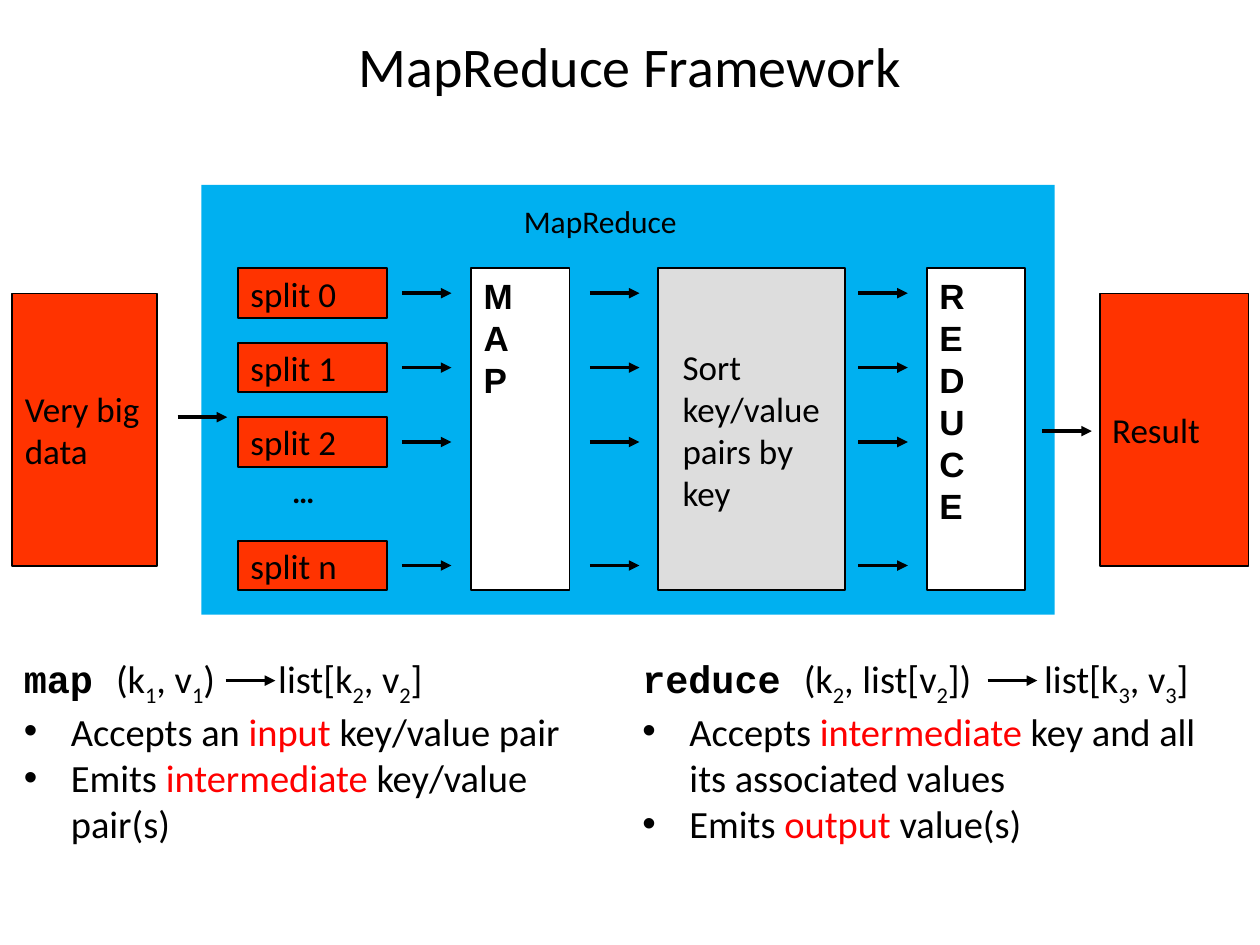
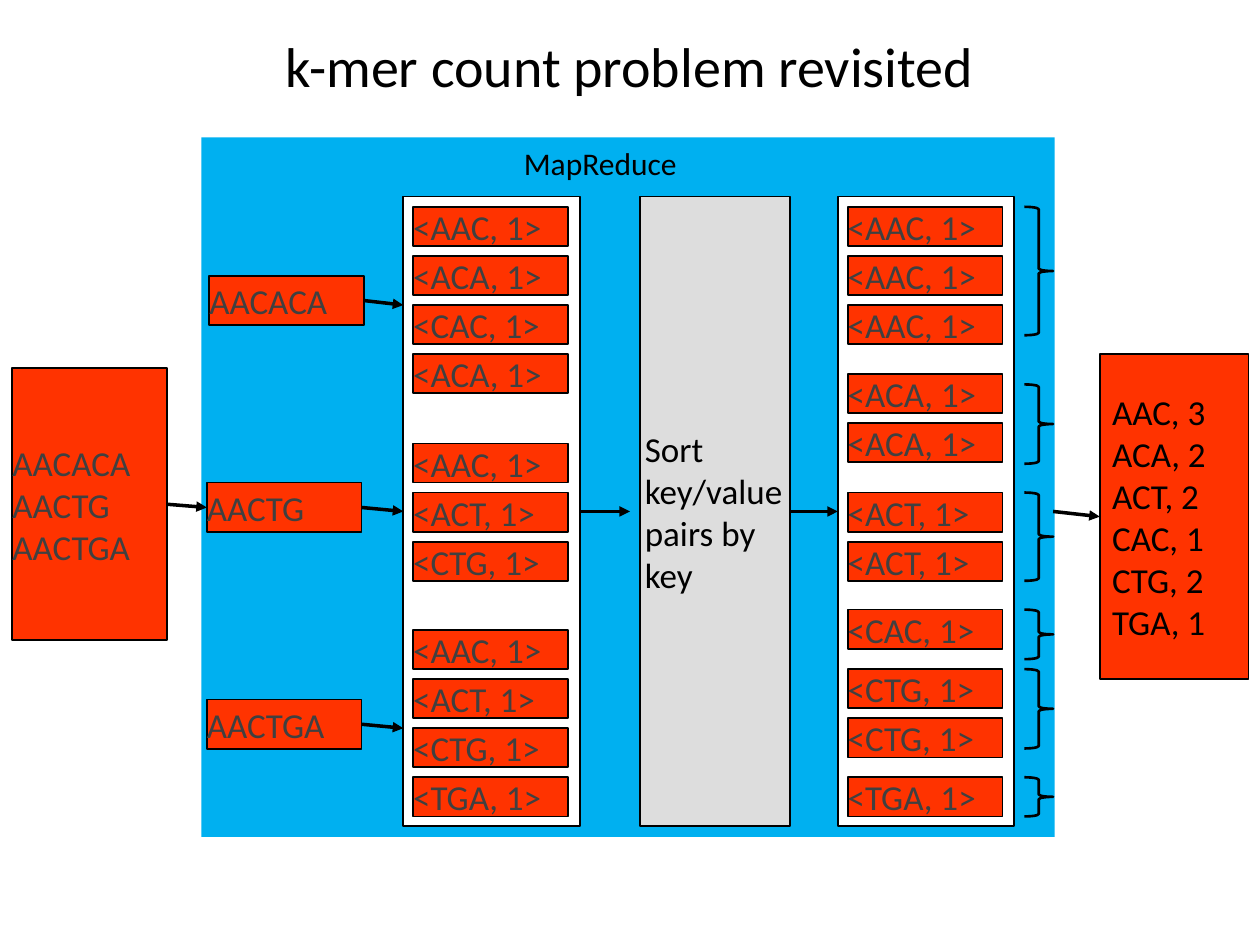
"""Build two slides that explain MapReduce and its use for k-mer counting."""
import pptx
import pptx.util
import pptx.dml.color
import pptx.enum.shapes
import pptx.enum.text
import pptx.oxml.ns
import lxml.etree

Cm = pptx.util.Cm
Pt = pptx.util.Pt
RGBColor = pptx.dml.color.RGBColor
Shape = pptx.enum.shapes.MSO_SHAPE
Anchor = pptx.enum.text.MSO_ANCHOR
Align = pptx.enum.text.PP_ALIGN
qn = pptx.oxml.ns.qn

BLACK = RGBColor(0x00, 0x00, 0x00)
WHITE = RGBColor(0xFF, 0xFF, 0xFF)
SKY = RGBColor(0x00, 0xB0, 0xF0)
ORANGE = RGBColor(0xFF, 0x33, 0x00)
SILVER = RGBColor(0xDD, 0xDD, 0xDD)
CHARCOAL = RGBColor(0x40, 0x40, 0x40)
RED = RGBColor(0xFF, 0x00, 0x00)


def add_box(page, text, left, top, width, height, *, kind=Shape.RECTANGLE, fill=None,
            line=1, size=20, font="Calibri", color=BLACK, bold=False,
            anchor=Anchor.MIDDLE, inset=0.25, right_inset=0.25, stacked=False):
    """Add a shape, or a text box when it has neither fill nor line."""
    place = Cm(left), Cm(top), Cm(width), Cm(height)
    if fill is None and not line:
        box = page.shapes.add_textbox(*place)
    else:
        box = page.shapes.add_shape(kind, *place)
        box.shadow.inherit = False
        if fill is None:
            box.fill.background()
        else:
            box.fill.solid()
            box.fill.fore_color.rgb = fill
        if line:
            box.line.color.rgb = BLACK
            box.line.width = Pt(line)
        else:
            box.line.fill.background()
    frame = box.text_frame
    frame.word_wrap = True
    frame.vertical_anchor = anchor
    frame.margin_left, frame.margin_right = Cm(inset), Cm(right_inset)
    if right_inset == 0:
        frame.margin_top = frame.margin_bottom = 0
    if stacked:
        frame._txBody.bodyPr.set("vert", "wordArtVert")
    if text:
        frame.text = text
        for para in frame.paragraphs:
            para.alignment = Align.LEFT
            para.font.size = Pt(size)
            for span in para.runs:
                span.font.size, span.font.name = Pt(size), font
                span.font.bold, span.font.color.rgb = bold, color
    return box


def add_arrow(page, start_x, start_y, end_x, end_y, source=None, target=None):
    """Add an arrow, joined to the right of source and the left of target."""
    arrow = page.shapes.add_connector(pptx.enum.shapes.MSO_CONNECTOR.STRAIGHT,
                                      Cm(start_x), Cm(start_y), Cm(end_x), Cm(end_y))
    if source is not None:
        arrow.begin_connect(source, 3)
    if target is not None:
        arrow.end_connect(target, 1)
    arrow.line.color.rgb = BLACK
    arrow.line.width = Pt(2)
    lxml.etree.SubElement(arrow.line._get_or_add_ln(), qn("a:tailEnd"), type="triangle")
    lxml.etree.SubElement(arrow._element.spPr, qn("a:effectLst"))


deck = pptx.Presentation()
deck.slide_width, deck.slide_height = Cm(25.4), Cm(19.05)

pages = []
for heading, band_top, band_height, label_top in [
    ("MapReduce Framework", 3.73, 8.66, 3.94),
    ("k-mer count problem revisited", 2.77, 14.1, 2.77),
]:
    page = deck.slides.add_slide(deck.slide_layouts[5])
    title = page.shapes.title
    title.left, title.top, title.width, title.height = Cm(1.27), Cm(0.43), Cm(22.86), Cm(1.78)
    title.text_frame.text = heading
    title.text_frame.vertical_anchor = Anchor.MIDDLE
    para = title.text_frame.paragraphs[0]
    para.alignment = Align.CENTER
    span = para.runs[0]
    span.font.size, span.font.name, span.font.color.rgb = Pt(32), "Calibri", BLACK
    add_box(page, "", 4.06, band_top, 17.2, band_height, fill=SKY, line=0)
    add_box(page, "MapReduce", 10.31, label_top, 5.13, 1.3, line=0, size=18, anchor=Anchor.TOP)
    pages.append(page)

framework, kmers = pages

add_box(framework, "Very big data", 0.25, 5.92, 2.92, 5.49, fill=ORANGE)
add_box(framework, "Result", 22.17, 5.92, 3, 5.49, fill=ORANGE)
add_box(framework, "…", 5.64, 9.4, 1.37, 1.3, line=0, size=18, bold=True, anchor=Anchor.TOP)
for name, left in [("MAP", 9.5), ("REDUCE", 18.69)]:
    add_box(framework, name, left, 5.41, 1.98, 6.48, fill=WHITE, font="Arial", bold=True,
            stacked=True)
add_box(framework, "Sort key/value pairs by key", 13.26, 5.41, 3.78, 6.48, fill=SILVER, inset=0.5)
for name, top in [("0", 5.41), ("1", 6.91), ("2", 8.41), ("n", 10.9)]:
    add_box(framework, f"split {name}", 4.8, top, 3, 1, fill=ORANGE)
    for left in (8.1, 11.89, 17.3):
        add_arrow(framework, left, top + 0.5, left + 1, top + 0.5)
for left, top in [(3.58, 8.41), (21.01, 8.69), (4.55, 13.72), (19.91, 13.72)]:
    add_arrow(framework, left, top, left + 1, top)

for left, width, tab, name, signature, points in [
    (0.23, 12.6, 5.13, "map ",
     ["(k", "1", ", v", "1", ")\tlist[k", "2", ", v", "2", "]"],
     [("Accepts an ", "input", " key/value pair"),
      ("Emits ", "intermediate", " key/value pair(s)")]),
    (12.7, 12.3, 8.1, "reduce ",
     ["(k", "2", ", list[v", "2", "])\tlist[k", "3", ", v", "3", "]"],
     [("Accepts ", "intermediate ", "key and all its associated values"),
      ("Emits ", "output", " value(s)")]),
]:
    box = add_box(framework, name, left, 13.08, width, 4.4, line=0, size=22,
                  font="Courier New", bold=True, anchor=Anchor.TOP)
    para = box.text_frame.paragraphs[0]
    tabs = lxml.etree.SubElement(para._p.get_or_add_pPr(), qn("a:tabLst"))
    para._p.pPr.insert(0, tabs)
    lxml.etree.SubElement(tabs, qn("a:tab"), pos=str(Cm(tab)), algn="l")
    for index, piece in enumerate(signature):
        span = para.add_run()
        span.text = piece
        span.font.size, span.font.name, span.font.color.rgb = Pt(22), "Calibri", BLACK
        if index % 2:
            span.font._element.set("baseline", "-25000")
    for point in points:
        para = box.text_frame.add_paragraph()
        properties = para._p.get_or_add_pPr()
        properties.set("marL", str(Cm(0.95)))
        properties.set("indent", str(-Cm(0.95)))
        lxml.etree.SubElement(properties, qn("a:buFont"), typeface="Arial")
        lxml.etree.SubElement(properties, qn("a:buChar"), char="•")
        for piece, color in zip(point, (BLACK, RED, BLACK)):
            span = para.add_run()
            span.text = piece
            span.font.size, span.font.name, span.font.color.rgb = Pt(22), "Calibri", color

record = dict(fill=ORANGE, color=CHARCOAL, inset=0, right_inset=0)
reads = add_box(kmers, "AACACA\nAACTG\nAACTGA", 0.25, 7.42, 3.12, 5.49, **record)
mapped = add_box(kmers, "", 8.13, 3.96, 3.56, 12.7, fill=WHITE)
sorting = add_box(kmers, "Sort key/value pairs by key", 12.9, 3.96, 3.02, 12.7, fill=SILVER,
                  inset=0.1, right_inset=0)
reduced = add_box(kmers, "", 16.89, 3.96, 3.56, 12.7, fill=WHITE)
counts = add_box(kmers, "AAC, 3\nACA, 2\nACT, 2\nCAC, 1\nCTG, 2\nTGA, 1",
                 22.17, 7.14, 3, 6.55, fill=ORANGE)

for name, left, top, arrow_y in [
    ("AACACA", 4.22, 5.56, 6.15), ("AACTG", 4.17, 9.73, 10.31), ("AACTGA", 4.17, 14.1, 14.68),
]:
    split = add_box(kmers, name, left, top, 3.12, 1, **record)
    middle = name == "AACTG"
    add_arrow(kmers, 7.34, arrow_y, 8.13, arrow_y, source=split,
              target=mapped if middle else None)
    if middle:
        add_arrow(kmers, 3.37, 10.16, 4.17, 10.23, source=reads, target=split)

for left, top, words in [
    (8.33, 4.17, "AAC ACA CAC ACA"),
    (8.33, 8.94, "AAC ACT CTG"),
    (8.33, 12.7, "AAC ACT CTG TGA"),
    (17.09, 4.17, "AAC AAC AAC"),
    (17.09, 7.54, "ACA ACA"),
    (17.09, 9.93, "ACT ACT"),
    (17.09, 12.29, "CAC"),
    (17.09, 13.49, "CTG CTG"),
    (17.09, 15.67, "TGA"),
]:
    for row, word in enumerate(words.split()):
        add_box(kmers, f"<{word}, 1>", left, top + 0.99 * row, 3.12, 0.79, **record)

for top, height in [(4.17, 2.59), (7.75, 1.6), (9.93, 1.78), (12.29, 1), (13.49, 1.6), (15.67, 0.79)]:
    add_box(kmers, "", 20.65, top, 0.58, height, kind=Shape.RIGHT_BRACE, line=1.5)

add_arrow(kmers, 11.69, 10.31, 12.7, 10.31, source=mapped)
add_arrow(kmers, 15.92, 10.31, 16.89, 10.31, source=sorting, target=reduced)
add_arrow(kmers, 21.23, 10.31, 22.17, 10.42, target=counts)

deck.save("out.pptx")
